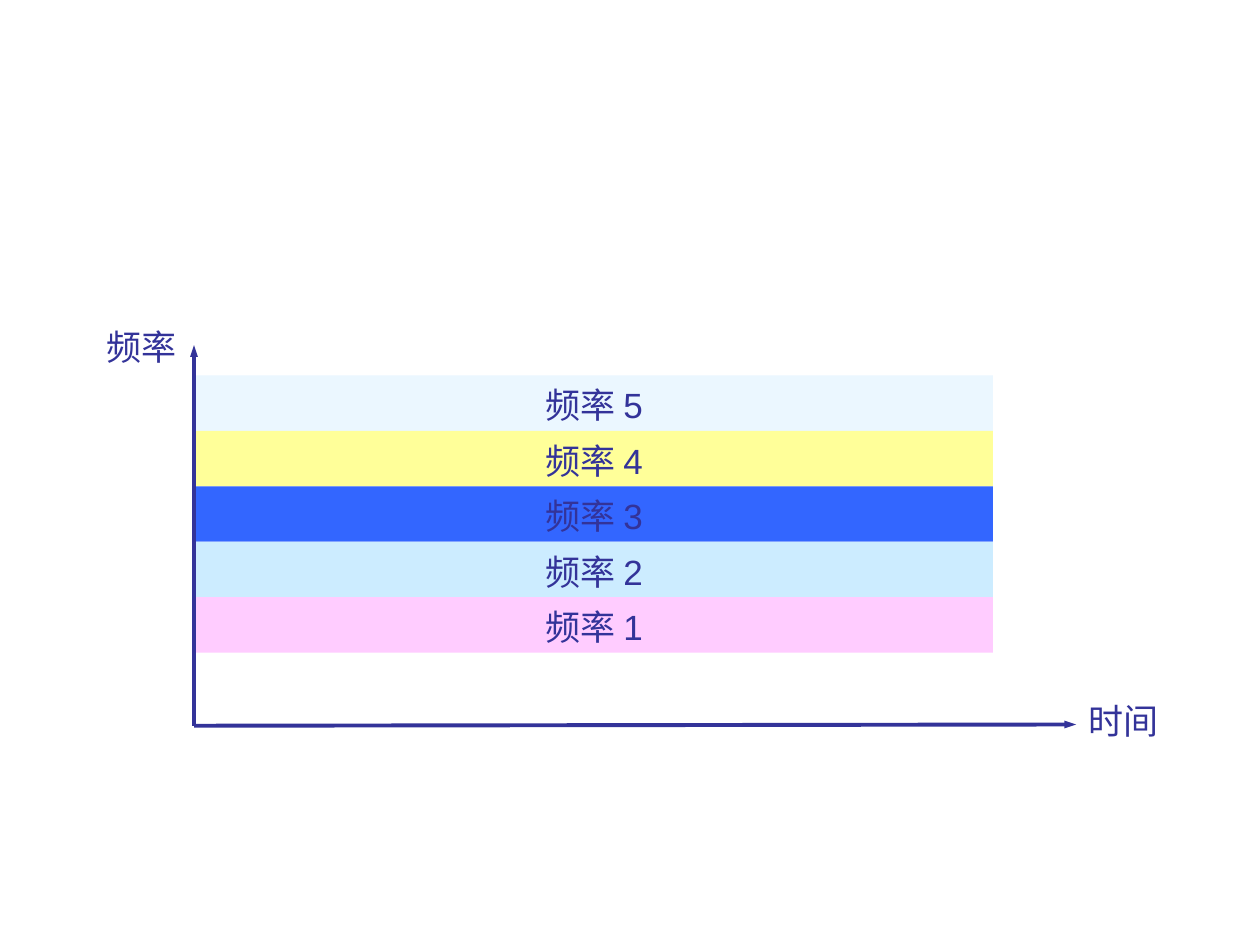
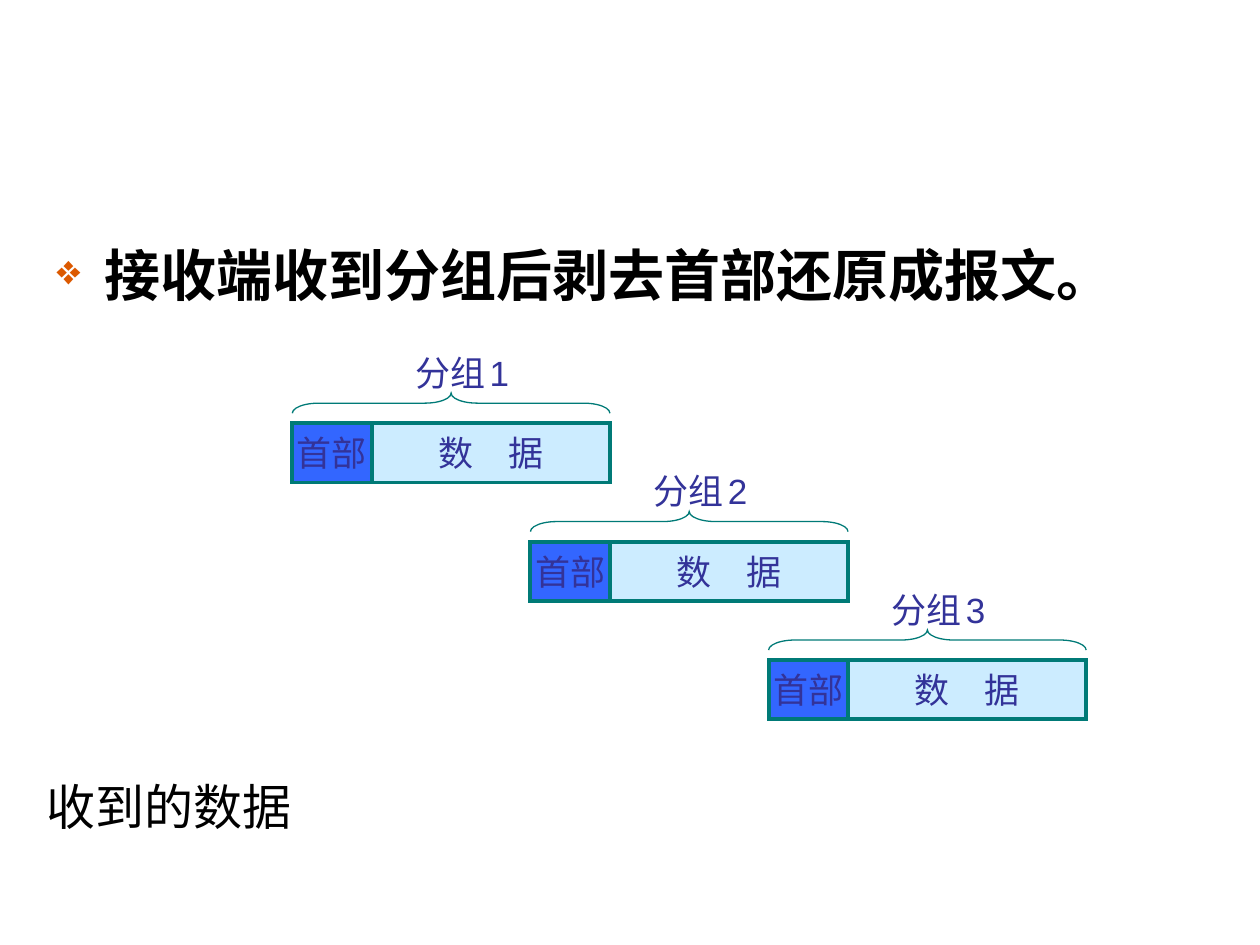
from lxml.etree import SubElement
from pptx import Presentation
from pptx.dml.color import RGBColor
from pptx.enum.shapes import MSO_CONNECTOR, MSO_SHAPE
from pptx.enum.text import MSO_ANCHOR, PP_ALIGN
from pptx.oxml.ns import qn
from pptx.util import Inches, Pt

SLIDE_WIDTH, SLIDE_HEIGHT = Inches(10), Inches(7.5)
CELL = SLIDE_WIDTH / 100

INDIGO = RGBColor(0x33, 0x33, 0x99)
TEAL = RGBColor(0x00, 0x7A, 0x77)
BLACK = RGBColor(0x00, 0x00, 0x00)
BLUE = RGBColor(0x33, 0x66, 0xFF)
SKY = RGBColor(0xCC, 0xEC, 0xFF)
ICE = RGBColor(0xEB, 0xF7, 0xFF)
YELLOW = RGBColor(0xFF, 0xFF, 0x99)
PINK = RGBColor(0xFF, 0xCC, 0xFF)
ORANGE = RGBColor(0xDC, 0x59, 0x00)

BAND_COLORS = [ICE, YELLOW, BLUE, SKY, PINK]
LABEL = {"name": "Arial", "size": Pt(20)}
CABIN = {"name": "Cabin", "size": Pt(20)}


def grid(*cells):
    """Turn grid columns and rows into slide lengths."""
    return [round(cell * CELL) for cell in cells]


def add_run(paragraph, text, style, color=INDIGO):
    """Append a run and set its font from a dict."""
    run = paragraph.add_run()
    run.text = text
    for attribute, value in style.items():
        setattr(run.font, attribute, value)
    run.font.color.rgb = color


def add_label(slide, box, runs, color=INDIGO, wrap=False, line_spacing=None):
    """Place a text box made of styled runs and return its paragraph."""
    frame = slide.shapes.add_textbox(*grid(*box)).text_frame
    frame.word_wrap = wrap
    paragraph = frame.paragraphs[0]
    paragraph.line_spacing = line_spacing
    for text, style in runs:
        add_run(paragraph, text, style, color)
    return paragraph


def add_block(slide, box, fill=None, line_width=None, kind=MSO_SHAPE.RECTANGLE):
    """Place a flat shape with an optional fill and teal outline."""
    shape = slide.shapes.add_shape(kind, *grid(*box))
    shape.shadow.inherit = False
    if fill is None:
        shape.fill.background()
    else:
        shape.fill.solid()
        shape.fill.fore_color.rgb = fill
    if line_width is None:
        shape.line.fill.background()
    else:
        shape.line.color.rgb = TEAL
        shape.line.width = Pt(line_width)
        SubElement(shape.line._get_or_add_ln(), qn("a:miter"), lim="800000")
    return shape


def add_axis(slide, start, end):
    """Draw an axis with a narrow arrowhead at its end."""
    axis = slide.shapes.add_connector(MSO_CONNECTOR.STRAIGHT, *grid(*start, *end))
    axis.line.color.rgb = INDIGO
    axis.line.width = Pt(2.25)
    SubElement(axis.line._get_or_add_ln(), qn("a:tailEnd"), type="triangle", w="sm")
    SubElement(axis._element.spPr, qn("a:effectLst"))


def add_frequency_diagram(slide, left, top, width, height):
    """Draw frequency bands stacked between a frequency and a time axis."""
    bottom = top + height
    band_height = 4.4
    times = {"name": "Times New Roman", "size": Pt(20)}
    add_axis(slide, (left, bottom), (left + width, bottom - 0.1))
    for text, x, y in [("频率", left - 7.9, top - 1.7),
                       ("时间", left + width, bottom - 2.2)]:
        add_label(slide, (x, y, 7.9, 4), [(text, times)], line_spacing=0.9)
    for index, color in enumerate(BAND_COLORS):
        band_top = top + 2.4 + index * band_height
        add_block(slide, (left, band_top, 63.4, band_height), color)
        add_label(slide, (left + 26.9, band_top + 0.55, 10.4, 4),
                  [(f"频率 {len(BAND_COLORS) - index}", LABEL)], line_spacing=0.9)
    add_axis(slide, (left, bottom), (left, top))


def add_packet(slide, number, left, top, width, height):
    """Draw a packet: header and data cells under a labelled brace."""
    header_width = width / 4
    cell_top, cell_height = top + 6.2, height - 6.2
    for text, x, cell_width, color in [
            ("数　据", left + header_width, width - header_width, SKY),
            ("首部", left, header_width, BLUE)]:
        cell = add_block(slide, (x, cell_top, cell_width, cell_height), color, 2.25)
        frame = cell.text_frame
        frame.word_wrap = False
        frame.vertical_anchor = MSO_ANCHOR.MIDDLE
        frame.paragraphs[0].alignment = PP_ALIGN.CENTER
        add_run(frame.paragraphs[0], text, CABIN)
    depth = 1.6
    brace = add_block(slide, (left + (width - depth) / 2, top + 3.8 + (depth - width) / 2,
                              depth, width), None, 0.75, MSO_SHAPE.LEFT_BRACE)
    brace.rotation = 90
    brace.adjustments[0] = 1.31
    add_label(slide, (left + 8.8, top, 12, 4.4),
              [("分组", CABIN), (" ", {"name": "Arial", "size": Pt(10)}), (str(number), LABEL)])


def add_bullet_point(slide, text, box):
    """Place a bold statement with a diamond bullet."""
    paragraph = add_label(slide, box, [], wrap=True)
    properties = paragraph._p.get_or_add_pPr()
    indent = Inches(0.38)
    properties.set("marL", str(indent))
    properties.set("indent", str(-indent))
    bullet_color = SubElement(properties, qn("a:buClr"))
    SubElement(bullet_color, qn("a:srgbClr"), val=str(ORANGE))
    SubElement(properties, qn("a:buSzPct"), val="75000")
    SubElement(properties, qn("a:buChar"), char="❖")
    add_run(paragraph, text, {"name": "Arial", "size": Pt(32), "bold": True}, BLACK)


def add_reassembly(slide, left, top, width, height):
    """Draw three packets in a staircase, each starting after the last one's header."""
    for index in range(3):
        add_packet(slide, index + 1, left + index * width * 3 / 4, top + index * 9.4,
                   width, height)


def main():
    """Build both slides and save them."""
    presentation = Presentation()
    presentation.slide_width, presentation.slide_height = SLIDE_WIDTH, SLIDE_HEIGHT
    blank = presentation.slide_layouts[6]
    frequency_slide, packet_slide = [presentation.slides.add_slide(blank) for _ in range(2)]
    add_frequency_diagram(frequency_slide, 15.4, 27.4, 70, 30.2)
    add_bullet_point(packet_slide, "接收端收到分组后剥去首部还原成报文。", (3.5, 18.6, 85.9, 11))
    add_reassembly(packet_slide, 23.2, 27.4, 25.2, 10.9)
    add_label(packet_slide, (2.7, 61.1, 22, 5.7),
              [("收到的数据", {"name": "Cabin", "size": Pt(28)})], BLACK, wrap=True)
    presentation.save("out.pptx")


if __name__ == "__main__":
    main()
